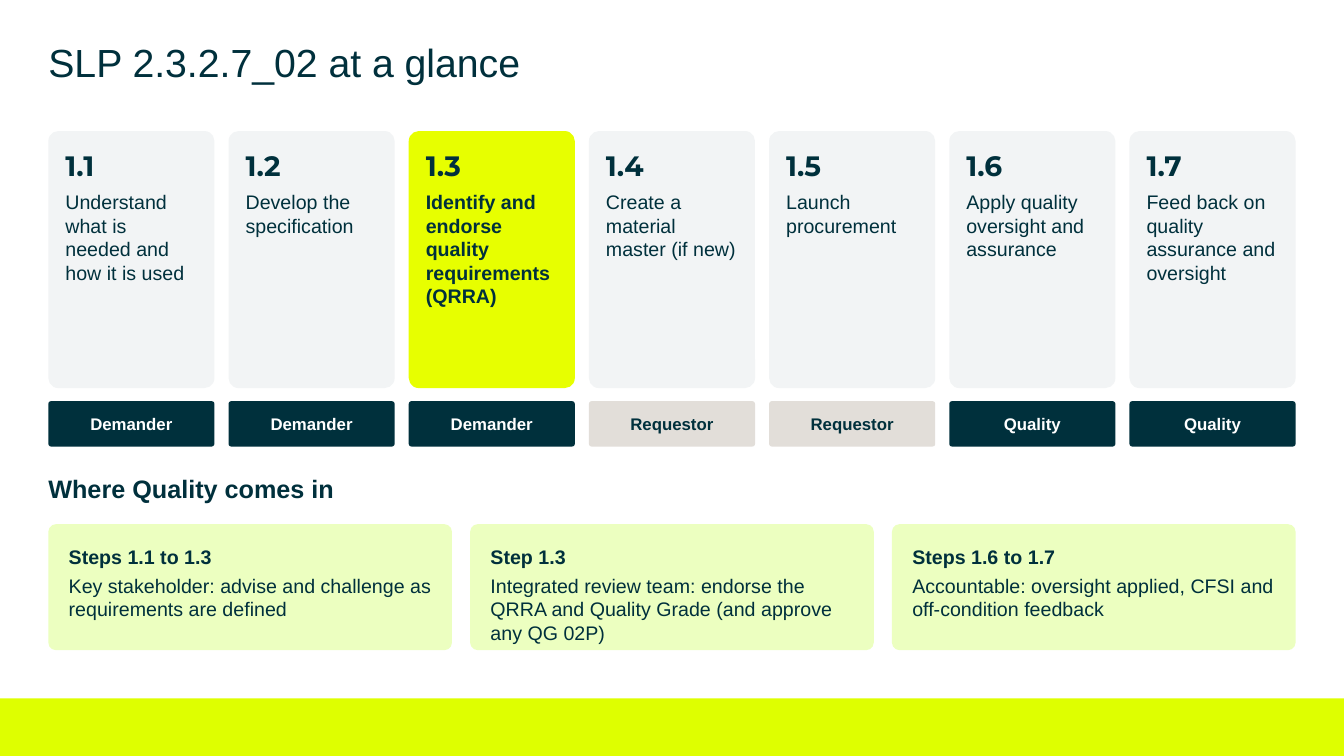
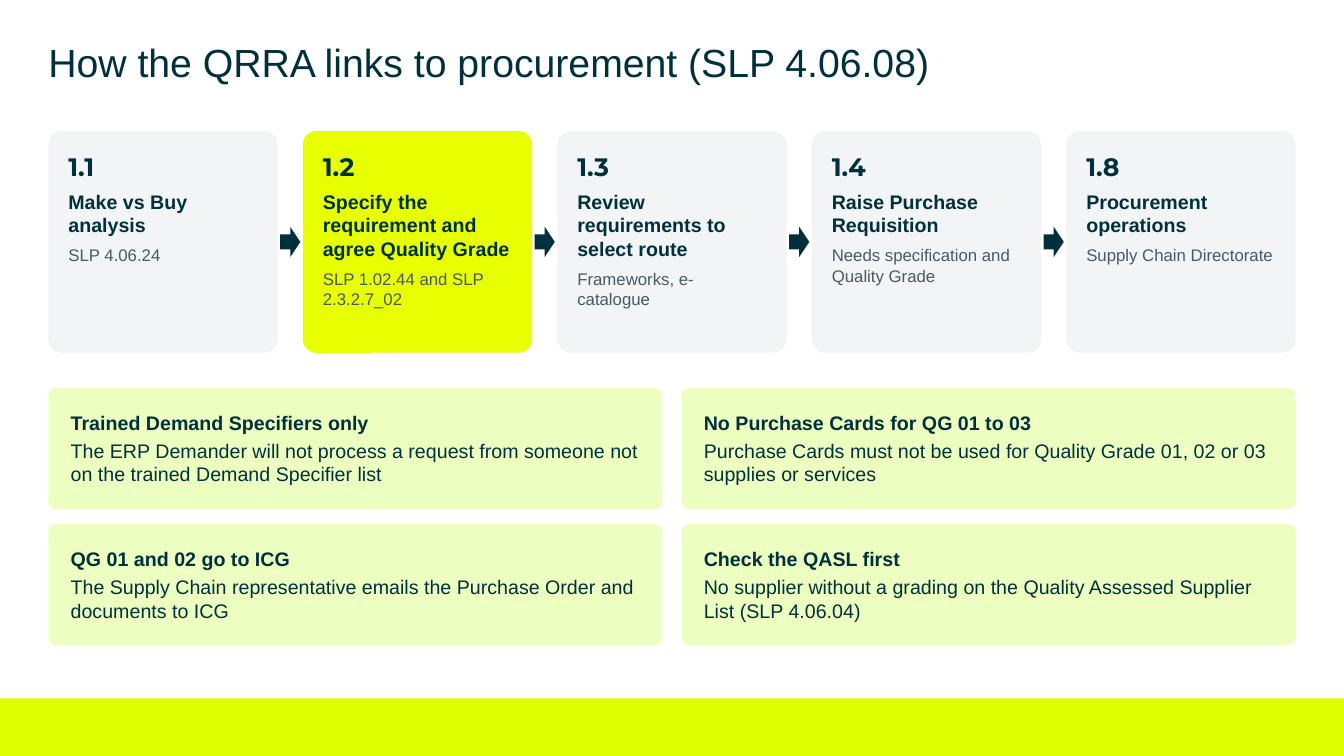
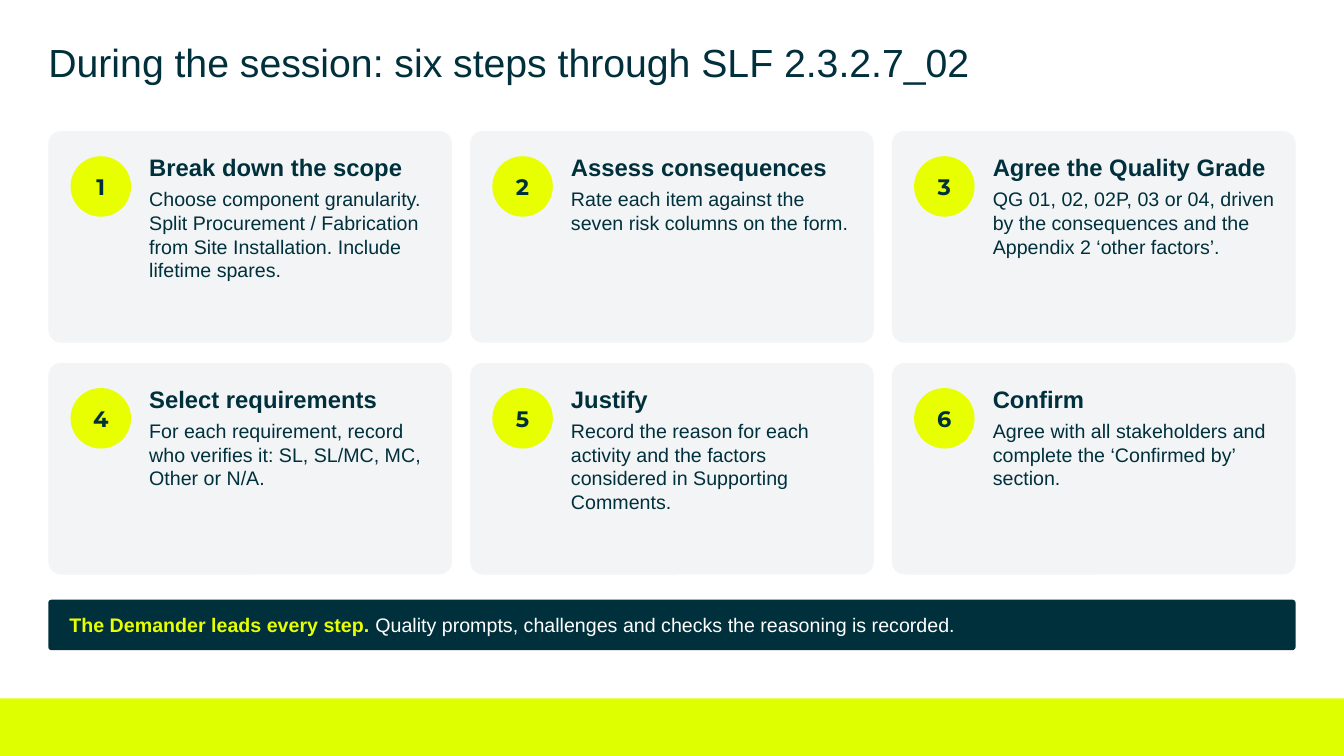
"""Build three slides on the quality requirements process and its link to procurement."""
from pptx import Presentation
from pptx.dml.color import RGBColor
from pptx.enum.shapes import MSO_SHAPE
from pptx.enum.text import MSO_ANCHOR, MSO_AUTO_SIZE, PP_ALIGN
from pptx.util import Inches, Pt

RECTANGLE, ROUNDED = MSO_SHAPE.RECTANGLE, MSO_SHAPE.ROUNDED_RECTANGLE
OVAL, ARROW = MSO_SHAPE.OVAL, MSO_SHAPE.RIGHT_ARROW
TOP, MIDDLE = MSO_ANCHOR.TOP, MSO_ANCHOR.MIDDLE
LEFT, CENTER = PP_ALIGN.LEFT, PP_ALIGN.CENTER
GROW = MSO_AUTO_SIZE.SHAPE_TO_FIT_TEXT

NAVY = RGBColor(0x00, 0x30, 0x3C)
WHITE = RGBColor(0xFF, 0xFF, 0xFF)
BAND = RGBColor(0xDE, 0xFF, 0x00)
LIME = RGBColor(0xE7, 0xFF, 0x00)
PALE_LIME = RGBColor(0xEC, 0xFF, 0xC0)
LIGHT_GREY = RGBColor(0xF2, 0xF4, 0xF5)
STONE = RGBColor(0xE2, 0xDE, 0xD9)
SLATE = RGBColor(0x4A, 0x5A, 0x60)

SLIDE_WIDTH, SLIDE_HEIGHT = 13.33, 7.5
MARGIN, CONTENT_WIDTH = 0.48, 12.37
CARD_TOP = 1.3


def text_format(size, bold=False, color=NAVY, name="Arial"):
    return {"size": Pt(size), "bold": bold, "color": color, "name": name}


TITLE = text_format(28)
SECTION = text_format(18, True)
STEP_HEADING = text_format(17, True)
BODY = text_format(14)
STRONG = text_format(14, True)
NOTE = text_format(12, color=SLATE)
GLANCE_NUMBER = text_format(20, True, name="Montserrat")
LINK_NUMBER = text_format(18, True, name="Montserrat")
CIRCLE_NUMBER = text_format(16, True, name="Montserrat")
BAR_LEAD = text_format(14, True, LIME)
BAR_TEXT = text_format(14, color=WHITE)

OWNER_COLORS = {
    "Demander": (NAVY, WHITE),
    "Requestor": (STONE, NAVY),
    "Quality": (NAVY, WHITE),
}

GLANCE_TITLE = "SLP 2.3.2.7_02 at a glance"
GLANCE_HIGHLIGHT = "1.3"
GLANCE_STEPS = [
    ("1.1", "Understand what is needed and how it is used", "Demander"),
    ("1.2", "Develop the specification", "Demander"),
    ("1.3", "Identify and endorse quality requirements (QRRA)", "Demander"),
    ("1.4", "Create a material master (if new)", "Requestor"),
    ("1.5", "Launch procurement", "Requestor"),
    ("1.6", "Apply quality oversight and assurance", "Quality"),
    ("1.7", "Feed back on quality assurance and oversight", "Quality"),
]
QUALITY_HEADING = "Where Quality comes in"
QUALITY_ROLES = [
    ("Steps 1.1 to 1.3", "Key stakeholder: advise and challenge as requirements are defined"),
    ("Step 1.3", "Integrated review team: endorse the QRRA and Quality Grade "
                 "(and approve any QG 02P)"),
    ("Steps 1.6 to 1.7", "Accountable: oversight applied, CFSI and off-condition feedback"),
]

LINK_TITLE = "How the QRRA links to procurement (SLP 4.06.08)"
LINK_HIGHLIGHT = "1.2"
LINK_STEPS = [
    ("1.1", "Make vs Buy analysis", "SLP 4.06.24"),
    ("1.2", "Specify the requirement and agree Quality Grade", "SLP 1.02.44 and SLP 2.3.2.7_02"),
    ("1.3", "Review requirements to select route", "Frameworks, e-catalogue"),
    ("1.4", "Raise Purchase Requisition", "Needs specification and Quality Grade"),
    ("1.8", "Procurement operations", "Supply Chain Directorate"),
]
LINK_RULES = [
    ("Trained Demand Specifiers only",
     "The ERP Demander will not process a request from someone not on the trained "
     "Demand Specifier list"),
    ("No Purchase Cards for QG 01 to 03",
     "Purchase Cards must not be used for Quality Grade 01, 02 or 03 supplies or services"),
    ("QG 01 and 02 go to ICG",
     "The Supply Chain representative emails the Purchase Order and documents to ICG"),
    ("Check the QASL first",
     "No supplier without a grading on the Quality Assessed Supplier List (SLP 4.06.04)"),
]

SESSION_TITLE = "During the session: six steps through SLF 2.3.2.7_02"
SESSION_STEPS = [
    ("Break down the scope",
     "Choose component granularity. Split Procurement / Fabrication from Site Installation. "
     "Include lifetime spares."),
    ("Assess consequences", "Rate each item against the seven risk columns on the form."),
    ("Agree the Quality Grade",
     "QG 01, 02, 02P, 03 or 04, driven by the consequences and the Appendix 2 ‘other factors’."),
    ("Select requirements",
     "For each requirement, record who verifies it: SL, SL/MC, MC, Other or N/A."),
    ("Justify",
     "Record the reason for each activity and the factors considered in Supporting Comments."),
    ("Confirm", "Agree with all stakeholders and complete the ‘Confirmed by’ section."),
]
SESSION_MESSAGE = [
    ("The Demander leads every step. ", BAR_LEAD),
    ("Quality prompts, challenges and checks the reasoning is recorded.", BAR_TEXT),
]


def grid(items, columns, gap, top=0, row_pitch=0):
    """Yield each item with its left, top and width in an even grid."""
    width = (CONTENT_WIDTH - gap * (columns - 1)) / columns
    for index, item in enumerate(items):
        row, column = divmod(index, columns)
        yield item, MARGIN + column * (width + gap), top + row * row_pitch, width


def write(shape, paragraphs, inset=0, after=4, anchor=TOP, align=LEFT):
    """Fill a shape with paragraphs, each a list of (text, format) runs."""
    frame = shape.text_frame
    frame.word_wrap = True
    frame.vertical_anchor = anchor
    for side in ("left", "top", "right", "bottom"):
        setattr(frame, f"margin_{side}", Inches(inset))
    for index, runs in enumerate(paragraphs):
        paragraph = frame.add_paragraph() if index else frame.paragraphs[0]
        paragraph.alignment = align
        paragraph.space_after = Pt(after)
        for text, values in runs:
            run = paragraph.add_run()
            run.text = text
            for key, value in values.items():
                if key == "color":
                    run.font.color.rgb = value
                else:
                    setattr(run.font, key, value)
    return frame


def add_block(slide, kind, box, fill, paragraphs=(), **layout):
    shape = slide.shapes.add_shape(kind, *map(Inches, box))
    shape.shadow.inherit = False
    shape.fill.solid()
    shape.fill.fore_color.rgb = fill
    shape.line.fill.background()
    if kind == ROUNDED:
        shape.adjustments[0] = 0.06
    if paragraphs:
        write(shape, paragraphs, **layout)


def add_text(slide, box, paragraphs, **layout):
    frame = write(slide.shapes.add_textbox(*map(Inches, box)), paragraphs, **layout)
    frame.auto_size = GROW


def add_slide(presentation, title):
    slide = presentation.slides.add_slide(presentation.slide_layouts[6])
    add_block(slide, RECTANGLE, (0, 6.93, SLIDE_WIDTH, 0.57), BAND)
    title_box = slide.shapes.add_textbox(*map(Inches, (MARGIN, 0.43, 9.21, 0.37)))
    frame = write(title_box, [[(title, TITLE)]], after=0)
    frame.paragraphs[0].line_spacing = 0.9
    return slide


def add_notes_grid(slide, notes, columns, gap, top, height, row_pitch=0, **layout):
    for (heading, text), left, y, width in grid(notes, columns, gap, top, row_pitch):
        add_block(slide, ROUNDED, (left, y, width, height), PALE_LIME,
                  [[(heading, STRONG)], [(text, BODY)]], **layout)


def build_glance(presentation):
    slide = add_slide(presentation, GLANCE_TITLE)
    for (number, text, owner), left, top, width in grid(GLANCE_STEPS, 7, 0.14, CARD_TOP):
        highlighted = number == GLANCE_HIGHLIGHT
        add_block(slide, ROUNDED, (left, top, width, 2.55), LIME if highlighted else LIGHT_GREY,
                  [[(number, GLANCE_NUMBER)], [(text, STRONG if highlighted else BODY)]],
                  inset=0.14, after=6)
        fill, color = OWNER_COLORS[owner]
        add_block(slide, ROUNDED, (left, 3.98, width, 0.45), fill,
                  [[(owner, text_format(12, True, color))]],
                  inset=0.04, anchor=MIDDLE, align=CENTER)
    add_text(slide, (MARGIN, 4.7, 4, 0.4), [[(QUALITY_HEADING, SECTION)]], after=6)
    add_notes_grid(slide, QUALITY_ROLES, 3, 0.18, 5.2, 1.25, inset=0.18)


def build_link(presentation):
    slide = add_slide(presentation, LINK_TITLE)
    gap, height, arrow_width, arrow_height = 0.25, 2.2, 0.2, 0.3
    for (number, heading, note), left, top, width in grid(LINK_STEPS, 5, gap, CARD_TOP):
        if left > MARGIN:
            arrow_left = left - (gap + arrow_width) / 2
            arrow_top = top + (height - arrow_height) / 2
            add_block(slide, ARROW, (arrow_left, arrow_top, arrow_width, arrow_height), NAVY)
        add_block(slide, ROUNDED, (left, top, width, height),
                  LIME if number == LINK_HIGHLIGHT else LIGHT_GREY,
                  [[(number, LINK_NUMBER)], [(heading, STRONG)], [(note, NOTE)]],
                  inset=0.16, after=6)
    add_notes_grid(slide, LINK_RULES, 2, 0.19, 3.85, 1.2, 1.35,
                   inset=0.2, after=3, anchor=MIDDLE)


def build_session(presentation):
    slide = add_slide(presentation, SESSION_TITLE)
    steps = enumerate(SESSION_STEPS, 1)
    for (number, (heading, text)), left, top, width in grid(steps, 3, 0.18, CARD_TOP, 2.3):
        add_block(slide, ROUNDED, (left, top, width, 2.1), LIGHT_GREY)
        add_block(slide, OVAL, (left + 0.22, top + 0.25, 0.6, 0.6), LIME,
                  [[(str(number), CIRCLE_NUMBER)]], anchor=MIDDLE, align=CENTER)
        add_text(slide, (left + 1, top + 0.22, 2.8, 1.8),
                 [[(heading, STEP_HEADING)], [(text, BODY)]])
    add_block(slide, ROUNDED, (MARGIN, 5.95, CONTENT_WIDTH, 0.5), NAVY,
              [SESSION_MESSAGE], inset=0.2, anchor=MIDDLE)


def main():
    presentation = Presentation()
    presentation.slide_width = Inches(SLIDE_WIDTH)
    presentation.slide_height = Inches(SLIDE_HEIGHT)
    for build in (build_glance, build_link, build_session):
        build(presentation)
    presentation.save("out.pptx")


if __name__ == "__main__":
    main()
